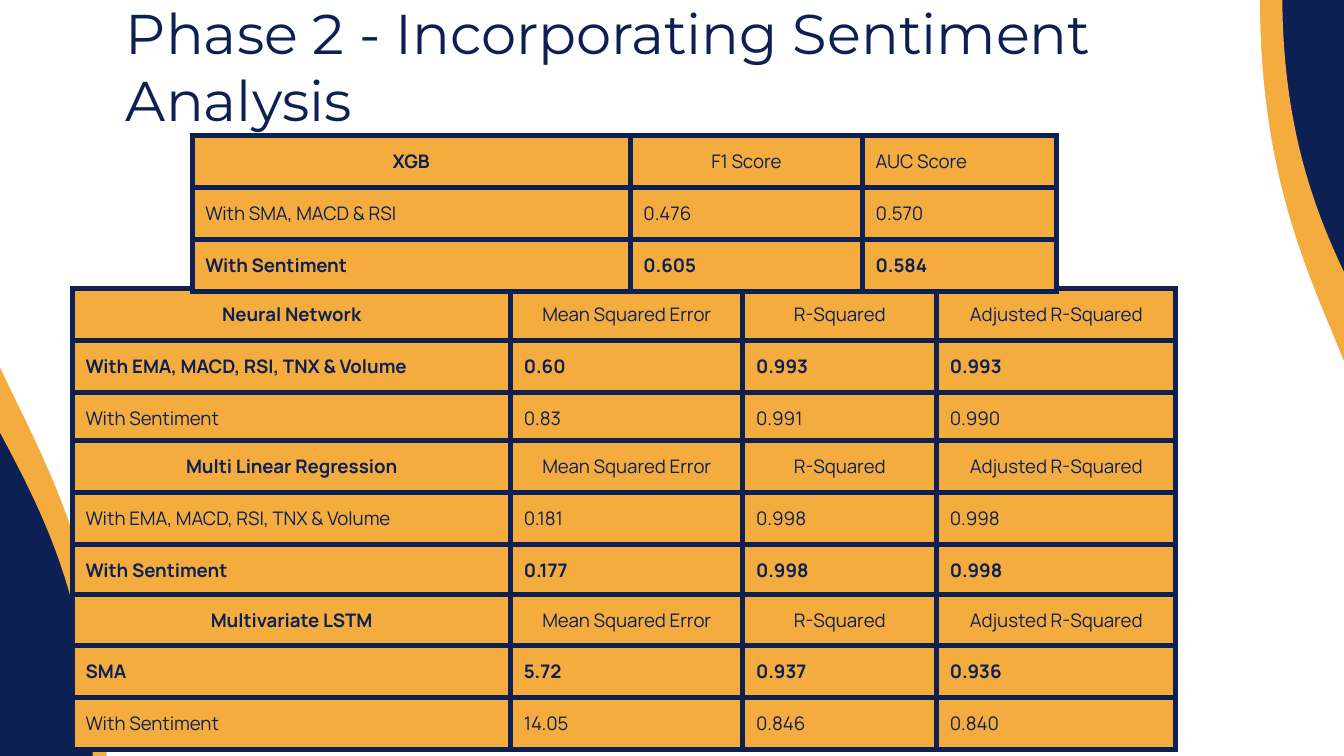
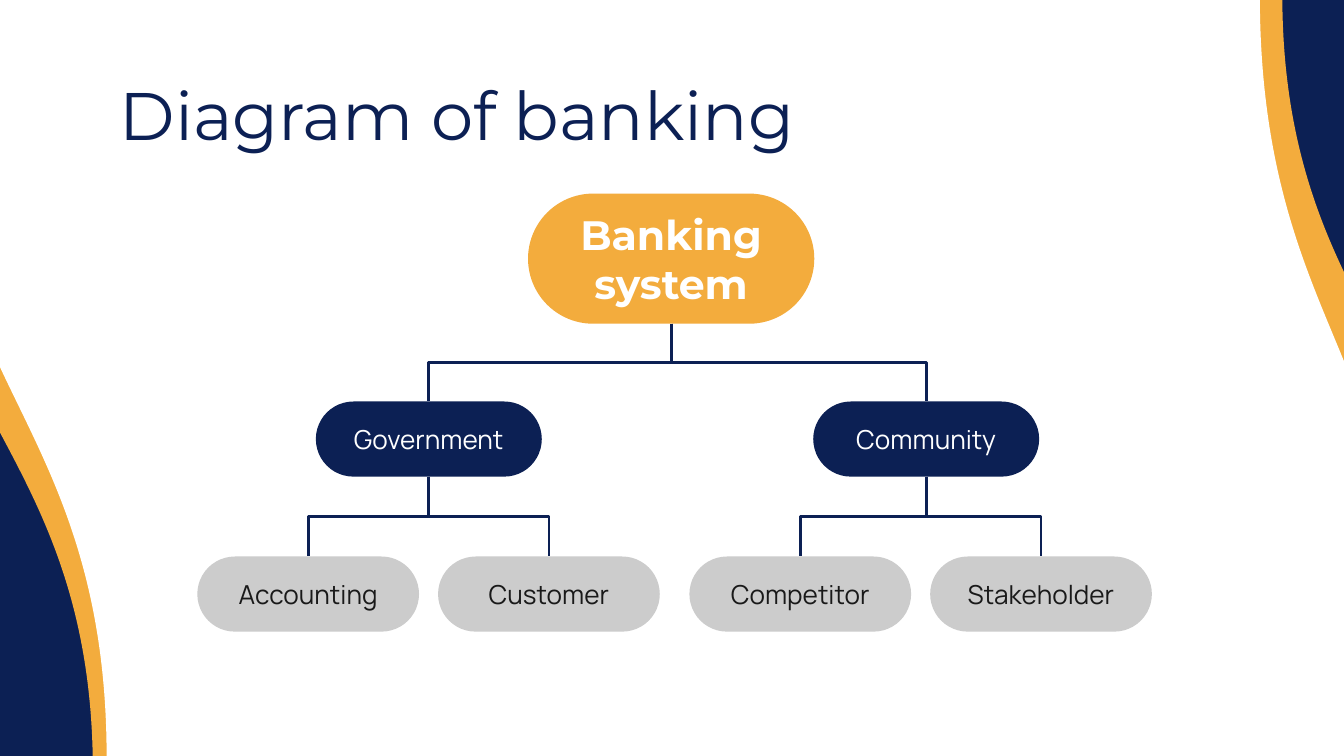
"""Build two slides: model scores with sentiment analysis, and a banking tree."""
import lxml.etree
import pptx
import pptx.dml.color
import pptx.enum.shapes
import pptx.enum.text
import pptx.oxml.ns
import pptx.util

Cm = pptx.util.Cm
Pt = pptx.util.Pt
qn = pptx.oxml.ns.qn
RGBColor = pptx.dml.color.RGBColor
Shape = pptx.enum.shapes.MSO_SHAPE
Align = pptx.enum.text.PP_ALIGN
Anchor = pptx.enum.text.MSO_ANCHOR

NAVY = RGBColor(0x0C, 0x20, 0x54)
ORANGE = RGBColor(0xF3, 0xAC, 0x3D)
WHITE = RGBColor(0xFF, 0xFF, 0xFF)
GREY = RGBColor(0xCC, 0xCC, 0xCC)
INK = RGBColor(0x19, 0x19, 0x19)
HEADING_FONT = "Montserrat"
BODY_FONT = "Manrope"
INSET = Cm(0.25)


def write(frame, text, font, size, color, bold=False, align=Align.LEFT):
    """Fill a text frame with one styled paragraph."""
    frame.text = text
    frame.word_wrap = True
    frame.vertical_anchor = Anchor.MIDDLE
    frame.margin_left = frame.margin_right = INSET
    frame.margin_top = frame.margin_bottom = INSET
    para = frame.paragraphs[0]
    para.alignment = align
    for span in para.runs:
        span.font.name = font
        span.font.size = Pt(size)
        span.font.bold = bold
        span.font.color.rgb = color


def add_block(page, kind, left, top, width, height, fill):
    """Add a plain filled shape without outline or shadow."""
    block = page.shapes.add_shape(kind, Cm(left), Cm(top), Cm(width), Cm(height))
    block.shadow.inherit = False
    block.fill.solid()
    block.fill.fore_color.rgb = fill
    block.line.fill.background()
    return block


deck = pptx.Presentation()
deck.slide_width = Cm(25.4)
deck.slide_height = Cm(14.29)
layout = deck.slide_layouts[5]
layout.background.fill.solid()
layout.background.fill.fore_color.rgb = NAVY

titles = [
    ("Phase 2 - Incorporating Sentiment Analysis", 30, 2.13, 0.56),
    ("Diagram of banking", 36, 2.01, 1.47),
]
pages = []
for text, size, left, top in titles:
    page = deck.slides.add_slide(layout)
    title = page.shapes.title
    title.left, title.top = Cm(left), Cm(top)
    title.width, title.height = Cm(21.41), Cm(1.35)
    write(title.text_frame, text, HEADING_FONT, size, NAVY)
    title.text_frame.auto_size = pptx.enum.text.MSO_AUTO_SIZE.NONE
    pages.append(page)
scores_page, tree_page = pages

waves = [
    (-0.43, -0.97, 14.43, 16.66, 90, ORANGE),
    (11.99, -1.22, 14.43, 16.66, 270, ORANGE),
    (12.67, 0.61, 14.43, 13, 270, WHITE),
    (-0.71, -1.04, 14.96, 15.75, 90, WHITE),
]
for index, (left, top, width, height, turn, fill) in enumerate(waves):
    wave = add_block(scores_page, Shape.FLOWCHART_DOCUMENT, left, top, width, height, fill)
    wave.rotation = turn
    wave.element.nvSpPr.cNvPr.id = 20 + index
    layout.shapes.element.insert(2 + index, wave.element)

column_widths = [8.28, 4.39, 3.66, 4.52]
row_heights = [0.97, 0.86, 0.97]
measures = ["Mean Squared Error", "R-Squared", "Adjusted R-Squared"]
indicators = "With EMA, MACD, RSI, TNX & Volume"
score_tables = [
    (1.37, 5.46, 1, [
        ["Neural Network", *measures],
        [indicators, "0.60", "0.993", "0.993"],
        ["With Sentiment", "0.83", "0.991", "0.990"],
    ]),
    (1.37, 8.33, 2, [
        ["Multi Linear Regression", *measures],
        [indicators, "0.181", "0.998", "0.998"],
        ["With Sentiment", "0.177", "0.998", "0.998"],
    ]),
    (1.37, 11.23, 1, [
        ["Multivariate LSTM", *measures],
        ["SMA", "5.72", "0.937", "0.936"],
        ["With Sentiment", "14.05", "0.846", "0.840"],
    ]),
    (3.63, 2.57, 2, [
        ["XGB", "F1 Score", "AUC Score"],
        ["With SMA, MACD & RSI", "0.476", "0.570"],
        ["With Sentiment", "0.605", "0.584"],
    ]),
]
for left, top, best_row, rows in score_tables:
    widths = column_widths[:len(rows[0])]
    table = scores_page.shapes.add_table(
        len(rows), len(widths), Cm(left), Cm(top), Cm(sum(widths)), Cm(sum(row_heights))
    ).table
    table.first_row = table.horz_banding = False
    for column, width in zip(table.columns, widths):
        column.width = Cm(width)
    for row_index, values in enumerate(rows):
        table.rows[row_index].height = Cm(row_heights[row_index])
        for column_index, value in enumerate(values):
            cell = table.cell(row_index, column_index)
            header = row_index == 0
            bold = row_index == best_row or (header and column_index == 0)
            centered = header and value != "AUC Score"
            write(cell.text_frame, value, BODY_FONT, 10, NAVY, bold,
                  Align.CENTER if centered else Align.LEFT)
            cell.vertical_anchor = Anchor.MIDDLE
            cell.margin_left = cell.margin_right = INSET
            cell.margin_top = cell.margin_bottom = INSET
            properties = cell.text_frame._txBody.getparent().get_or_add_tcPr()
            for name in ("a:lnL", "a:lnR", "a:lnT", "a:lnB"):
                border = lxml.etree.SubElement(properties, qn(name), w=str(Pt(3)))
                paint = lxml.etree.SubElement(border, qn("a:solidFill"))
                lxml.etree.SubElement(paint, qn("a:srgbClr"), val=str(NAVY))
            cell.fill.solid()
            cell.fill.fore_color.rgb = ORANGE

root_style = (5.41, 2.46, ORANGE, WHITE, HEADING_FONT, 22, True)
branch_style = (4.27, 1.42, NAVY, WHITE, BODY_FONT, 14, False)
leaf_style = (4.19, 1.42, GREY, INK, BODY_FONT, 14, False)
nodes = [
    ("Banking system", None, 9.98, 3.66, root_style),
    ("Community", "Banking system", 15.37, 7.59, branch_style),
    ("Government", "Banking system", 5.97, 7.59, branch_style),
    ("Accounting", "Government", 3.73, 10.52, leaf_style),
    ("Customer", "Government", 8.28, 10.52, leaf_style),
    ("Competitor", "Community", 13.03, 10.52, leaf_style),
    ("Stakeholder", "Community", 17.58, 10.52, leaf_style),
]
boxes = {}
for name, parent_name, left, top, style in nodes:
    width, height, fill, ink, font, size, bold = style
    box = add_block(tree_page, Shape.ROUNDED_RECTANGLE, left, top, width, height, fill)
    box.adjustments[0] = 0.5
    write(box.text_frame, name, font, size, ink, bold, Align.CENTER)
    boxes[name] = box

for name, parent_name, *rest in nodes[1:]:
    parent, child = boxes[parent_name], boxes[name]
    start_x, start_y = parent.left + parent.width // 2, parent.top + parent.height
    end_x, end_y = child.left + child.width // 2, child.top
    link = tree_page.shapes.add_connector(
        pptx.enum.shapes.MSO_CONNECTOR.ELBOW, start_x, start_y, end_x, end_y)
    link.begin_connect(parent, 2)
    link.end_connect(child, 0)
    rise, run = end_y - start_y, abs(end_x - start_x)
    link.left = (start_x + end_x - rise) // 2
    link.top = (start_y + end_y - run) // 2
    link.width, link.height = rise, run
    to_right = end_x > start_x
    frame = link.element.spPr.xfrm
    frame.rot = 270 if to_right else 90
    frame.flipH = to_right
    frame.flipV = False
    link.line.color.rgb = NAVY
    link.line.width = Pt(1.5)
    lxml.etree.SubElement(link.element.spPr, qn("a:effectLst"))

deck.save("out.pptx")
